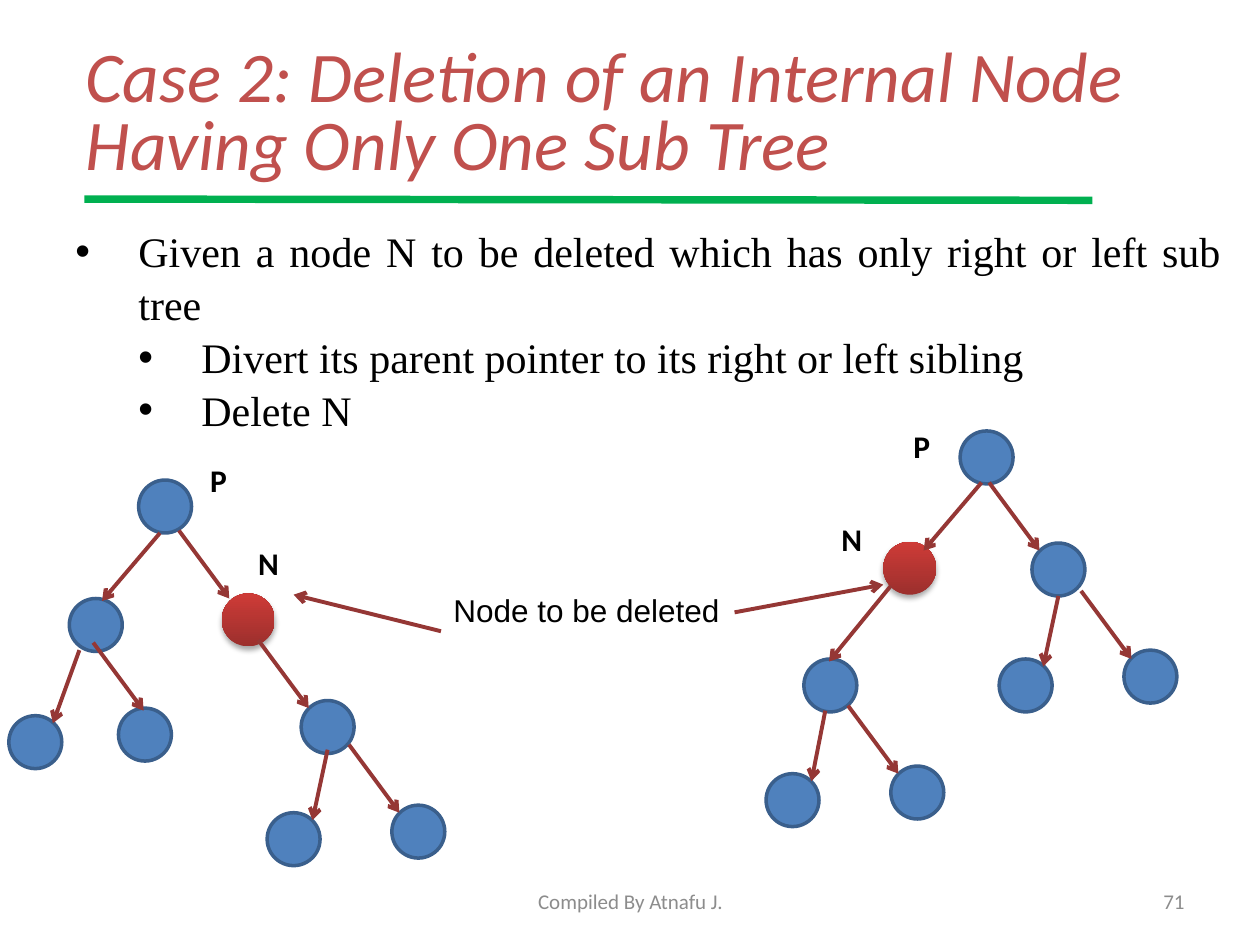
import pptx
import pptx.util
import pptx.dml.color
import pptx.enum.shapes
import pptx.enum.text
import pptx.oxml
import pptx.oxml.ns
from pptx.util import Inches

COLORS = {
    "title": "C0504D", "rule": "00B050", "text": "000000", "footer": "8C8C8C",
    "node": "4F81BD", "node_line": "3A5F8C", "arrow": "953735",
    "deleted_dark": "9C2F2D", "deleted_light": "CE3B37",
}
RGB = {name: pptx.dml.color.RGBColor.from_string(value) for name, value in COLORS.items()}
ALIGN = pptx.enum.text.PP_ALIGN
ANCHOR = pptx.enum.text.MSO_ANCHOR
NAMESPACE = pptx.oxml.ns.nsdecls("a")
NODE_SIZE = 0.42

presentation = pptx.Presentation()
presentation.slide_width = Inches(10)
presentation.slide_height = Inches(7.5)
slide = presentation.slides.add_slide(presentation.slide_layouts[5])


def add_text(box, text, size, font, color, align=ALIGN.LEFT, anchor=ANCHOR.TOP,
             wrap=True, bold=False):
    left, top, width, height = box
    shape = slide.shapes.add_textbox(Inches(left), Inches(top), Inches(width), Inches(height))
    shape.text_frame.word_wrap = wrap
    shape.text_frame.vertical_anchor = anchor
    paragraph = shape.text_frame.paragraphs[0]
    paragraph.alignment = align
    run = paragraph.add_run()
    run.text = text
    run.font.size = pptx.util.Pt(size)
    run.font.name = font
    run.font.bold = bold
    run.font.color.rgb = RGB[color]


def add_line(x1, y1, x2, y2, color="arrow", width=2.25, arrow=True):
    connector = slide.shapes.add_connector(
        pptx.enum.shapes.MSO_CONNECTOR.STRAIGHT,
        Inches(x1), Inches(y1), Inches(x2), Inches(y2))
    connector.line.color.rgb = RGB[color]
    connector.line.width = pptx.util.Pt(width)
    if arrow:
        connector.line._get_or_add_ln().append(
            pptx.oxml.parse_xml(f'<a:tailEnd {NAMESPACE} type="arrow"/>'))
    connector._element.spPr.append(pptx.oxml.parse_xml(f"<a:effectLst {NAMESPACE}/>"))


# Title and the rule below it
title = slide.shapes.title
title.left, title.top = Inches(0.58), Inches(0.33)
title.width, title.height = Inches(9), Inches(1.25)
title.text_frame.vertical_anchor = ANCHOR.TOP
title.text_frame.word_wrap = True
title.text_frame.auto_size = pptx.enum.text.MSO_AUTO_SIZE.NONE
paragraph = title.text_frame.paragraphs[0]
paragraph.alignment = ALIGN.LEFT
paragraph.line_spacing = 0.8
run = paragraph.add_run()
run.text = "Case 2: Deletion of an Internal Node Having Only One Sub Tree"
run.font.size = pptx.util.Pt(40.7)
run.font.name = "Calibri"
run.font.italic = True
run.font.color.rgb = RGB["title"]
add_line(0.67, 1.58, 8.67, 1.59, "rule", 4.25, arrow=False)

# Bulleted steps
steps = [
    (0, "Given a node N to be deleted which has only right or left sub tree"),
    (1, "Divert its parent pointer to its right or left sibling"),
    (1, "Delete N"),
]
body = slide.shapes.add_textbox(Inches(0.5), Inches(1.75), Inches(9.29), Inches(1.72))
body.text_frame.word_wrap = True
body.text_frame.vertical_anchor = ANCHOR.MIDDLE
for index, (level, text) in enumerate(steps):
    paragraph = body.text_frame.paragraphs[0] if index == 0 else body.text_frame.add_paragraph()
    paragraph.level = level
    paragraph.alignment = ALIGN.JUSTIFY
    paragraph.line_spacing = 1.05
    properties = paragraph._p.get_or_add_pPr()
    properties.set("marL", str(Inches(0.5 * (level + 1))))
    properties.set("indent", str(Inches(-0.5)))
    properties.append(pptx.oxml.parse_xml(f'<a:buFont {NAMESPACE} typeface="Arial"/>'))
    properties.append(pptx.oxml.parse_xml(f'<a:buChar {NAMESPACE} char="•"/>'))
    run = paragraph.add_run()
    run.text = text
    run.font.size = pptx.util.Pt(24)
    run.font.name = "Times New Roman"
    run.font.color.rgb = RGB["text"]

# Tree nodes: left, top, whether it is the node to delete
nodes = [
    # Left tree
    (1.1, 3.81, False), (0.55, 4.75, False), (1.76, 4.71, True),
    (0.07, 5.68, False), (0.94, 5.62, False), (2.39, 5.56, False),
    (2.12, 6.45, False), (3.11, 6.39, False),
    # Right tree
    (7.62, 3.42, False), (7.01, 4.3, True), (8.19, 4.31, False),
    (6.38, 5.23, False), (7.93, 5.23, False), (8.92, 5.16, False),
    (6.08, 6.14, False), (7.07, 6.08, False),
]
for left, top, deleted in nodes:
    node = slide.shapes.add_shape(
        pptx.enum.shapes.MSO_SHAPE.OVAL,
        Inches(left), Inches(top), Inches(NODE_SIZE), Inches(NODE_SIZE))
    node.shadow.inherit = False
    if deleted:
        node.fill.gradient()
        node.fill.gradient_angle = 90
        for stop, color in zip(node.fill.gradient_stops, ("deleted_dark", "deleted_light")):
            stop.color.rgb = RGB[color]
        node.line.fill.background()
        effects = node._element.spPr.find(pptx.oxml.ns.qn("a:effectLst"))
        effects.append(pptx.oxml.parse_xml(
            f'<a:outerShdw {NAMESPACE} blurRad="40000" dist="23000" dir="5400000" '
            'rotWithShape="0"><a:srgbClr val="000000"><a:alpha val="35000"/>'
            '</a:srgbClr></a:outerShdw>'))
    else:
        node.fill.solid()
        node.fill.fore_color.rgb = RGB["node"]
        node.line.color.rgb = RGB["node_line"]
        node.line.width = pptx.util.Pt(2)

# Pointers from parent to child, then from the caption to each N
pointers = [
    # Left tree
    (1.27, 4.23, 0.81, 4.77), (1.42, 4.21, 1.82, 4.75),
    (0.63, 5.16, 0.42, 5.74), (0.74, 5.1, 1.14, 5.64),
    (2.05, 5.08, 2.45, 5.62),
    (2.6, 5.95, 2.48, 6.51), (2.77, 5.91, 3.17, 6.45),
    # Right tree
    (7.79, 3.83, 7.33, 4.37), (7.85, 3.83, 8.25, 4.37),
    (7.07, 4.65, 6.58, 5.25),
    (8.4, 4.73, 8.28, 5.29), (8.58, 4.69, 8.98, 5.23),
    (6.55, 5.64, 6.44, 6.2), (6.73, 5.6, 7.13, 6.14),
    # Caption
    (3.5, 5.01, 2.33, 4.72), (5.83, 4.86, 7.01, 4.64),
]
for pointer in pointers:
    add_line(*pointer)

# Caption and node labels
add_text((3.5, 4.64, 2.32, 0.4), "Node to be deleted", 18, "Arial", "text")
for label, left, top in [("P", 1.57, 3.61), ("N", 1.95, 4.27),
                         ("P", 7.15, 3.34), ("N", 6.58, 4.08)]:
    add_text((left, top, 0.38, 0.4), label, 18, "Calibri", "text", wrap=False, bold=True)

# Footer and slide number
add_text((3.42, 6.95, 3.17, 0.4), "Compiled By Atnafu J.", 12, "Calibri", "footer",
         ALIGN.CENTER, ANCHOR.MIDDLE)
add_text((7.17, 6.95, 2.33, 0.4), "71", 12, "Calibri", "footer", ALIGN.RIGHT, ANCHOR.MIDDLE)

presentation.save("out.pptx")
